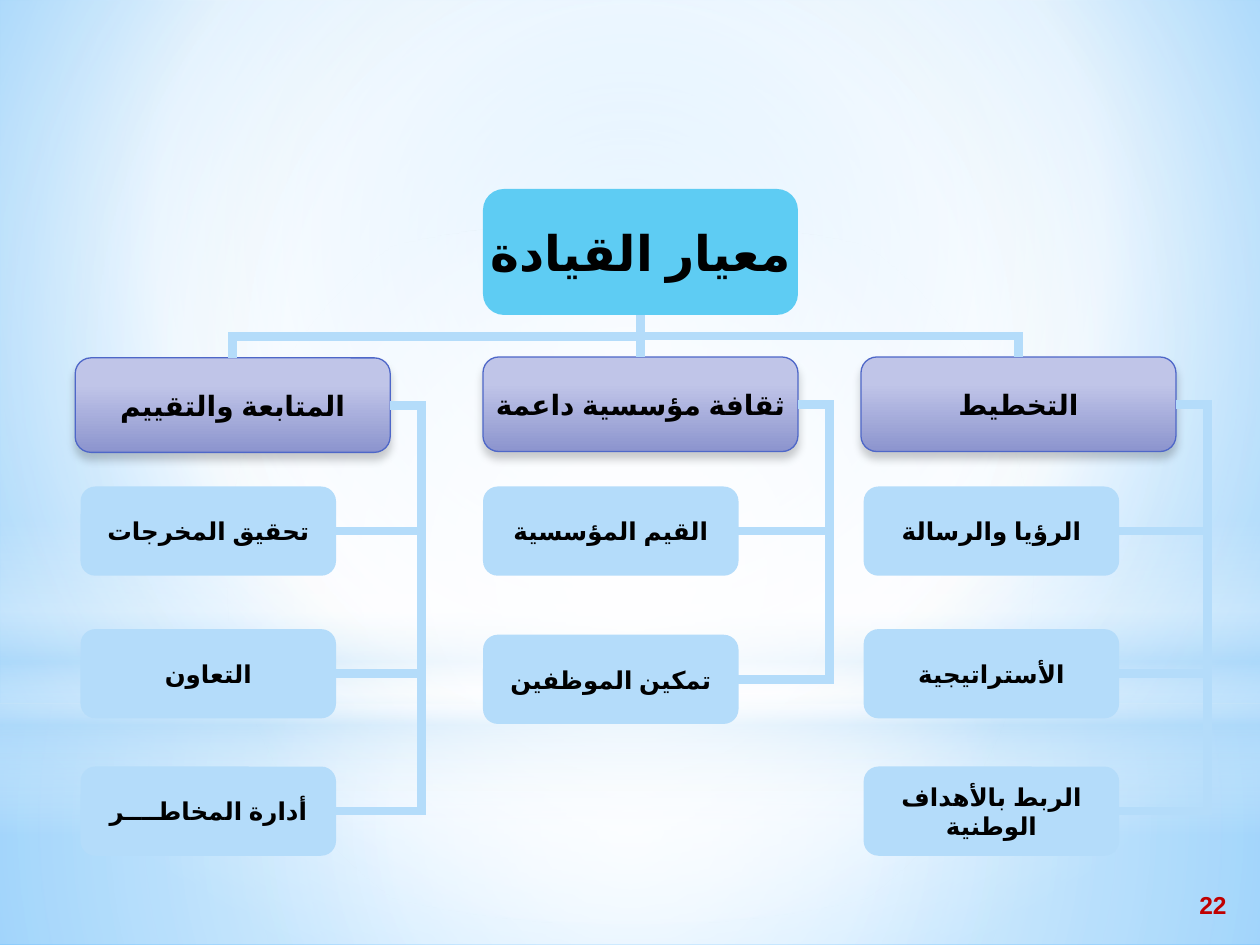
"""Build the leadership criterion chart slide."""
from lxml.etree import SubElement
from pptx import Presentation
from pptx.dml.color import RGBColor
from pptx.enum.lang import MSO_LANGUAGE_ID
from pptx.enum.shapes import MSO_CONNECTOR, MSO_SHAPE
from pptx.enum.text import MSO_ANCHOR, PP_ALIGN
from pptx.oxml import parse_xml
from pptx.oxml.ns import nsdecls, qn
from pptx.util import Pt

BLACK = RGBColor(0x00, 0x00, 0x00)
RED = RGBColor(0xC0, 0x00, 0x00)
SKY = RGBColor(0x5E, 0xCC, 0xF3)
PALE = RGBColor(0xB4, 0xDC, 0xFA)
BLUE = RGBColor(0x4E, 0x67, 0xC8)
FONT = "Arial"
CENTRE = (50, 50, 50, 50)

BACK = [(0, "9ED5FF", 100), (60, "FFFFFF", 100), (100, "5BB9FF", 100)]
HEAD = [(28, "C0C5E8", 100), (100, "8C94CE", 100)]
GLOWS = [
    (MSO_SHAPE.RECTANGLE, (0, 402, 720, 138), CENTRE,
     [(0, "FFFFFF", 91), (37, "FFFFFF", 76), (100, "B4DCFA", 79)]),
    (MSO_SHAPE.RECTANGLE, (0, 0, 720, 402), CENTRE,
     [(0, "FFFFFF", 89), (48, "FFFFFF", 62), (100, "B4DCFA", 79)]),
    (MSO_SHAPE.RECTANGLE, (0, 297, 720, 180), None,
     [(0, "FFFFFF", 0), (29, "FFFFFF", 30), (45, "B4DCFA", 40),
      (55, "FFFFFF", 26), (65, "B4DCFA", 60), (100, "FFFFFF", 0)]),
    (MSO_SHAPE.OVAL, (0, 126, 720, 402), CENTRE,
     [(0, "FFFFFF", 100), (56, "FFFFFF", 0)]),
]
ROOT = "معيار القيادة"
COLUMNS = [
    ("التخطيط", 492, 204, 493.5,
     [("الرؤيا والرسالة", 278), ("الأستراتيجية", 359.5),
      ("الربط بالأهداف الوطنية", 438)]),
    ("ثقافة مؤسسية داعمة", 276, 204, 276,
     [("القيم المؤسسية", 278), ("تمكين الموظفين", 362.7)]),
    ("المتابعة والتقييم", 43, 204.5, 46,
     [("تحقيق المخرجات", 278), ("التعاون", 359.5),
      ("أدارة المخاطــــر", 438)]),
]
WRAPPED = "الربط بالأهداف الوطنية"
ROOT_BOX = (276, 108, 180, 72)
HEAD_W, HEAD_H = 180, 54
LEAF_W, LEAF_H = 146, 51
REACH = 18

deck = Presentation()
deck.slide_width, deck.slide_height = Pt(720), Pt(540)
slide = deck.slides.add_slide(deck.slide_layouts[6])
shapes = slide.shapes


def blend(owner, stops, focus=None):
    """Swap the first solid fill under owner for a gradient."""
    marks = "".join(
        f'<a:gs pos="{pos * 1000}"><a:srgbClr val="{tint}">'
        f'<a:alpha val="{alpha * 1000}"/></a:srgbClr></a:gs>'
        for pos, tint, alpha in stops)
    shade = '<a:lin ang="5400000" scaled="0"/>'
    if focus:
        sides = " ".join(f'{side}="{part * 1000}"' for side, part in zip("ltrb", focus))
        shade = f'<a:path path="circle"><a:fillToRect {sides}/></a:path>'
    solid = next(owner.iter(qn("a:solidFill")))
    solid.getparent().replace(solid, parse_xml(
        f'<a:gradFill {nsdecls("a")} rotWithShape="1">'
        f'<a:gsLst>{marks}</a:gsLst>{shade}</a:gradFill>'))


def add_box(kind, box, fill):
    shape = shapes.add_shape(kind, *map(Pt, box))
    shape.shadow.inherit = False
    shape.fill.solid()
    shape.fill.fore_color.rgb = fill
    shape.line.fill.background()
    return shape


def write(shape, text, size, color=BLACK, align=PP_ALIGN.CENTER,
          anchor=MSO_ANCHOR.MIDDLE, wrap=False):
    frame = shape.text_frame
    frame.text = text
    frame.word_wrap = wrap
    frame.vertical_anchor = anchor
    para = frame.paragraphs[0]
    para.alignment = align
    para._p.get_or_add_pPr().set("rtl", "1")
    font = para.runs[0].font
    font.name, font.size, font.bold = FONT, Pt(size), True
    font.language_id = MSO_LANGUAGE_ID.ARABIC
    font.color.rgb = color
    SubElement(font._element, qn("a:cs")).set("typeface", FONT)


def add_node(box, text, size, fill, wrap=False):
    node = add_box(MSO_SHAPE.ROUNDED_RECTANGLE, box, fill)
    write(node, text, size, wrap=wrap)
    return node


def add_head(box, text):
    head = add_node(box, text, 16, PALE)
    blend(head._element.spPr, HEAD)
    head.line.color.rgb = BLUE
    head.line.width = Pt(0.75)
    cast = head._element.spPr.find(qn("a:effectLst"))
    cast.append(parse_xml(
        f'<a:outerShdw {nsdecls("a")} blurRad="{Pt(5)}" dist="{Pt(4)}" '
        'dir="5400000" rotWithShape="0"><a:srgbClr val="000000">'
        '<a:alpha val="20000"/></a:srgbClr></a:outerShdw>'))
    return head


def add_link(kind, *ends):
    link = shapes.add_connector(kind, *map(Pt, ends))
    link.line.color.rgb = PALE
    link.line.width = Pt(5)
    edge = link._element.spPr.find(qn("a:ln"))
    SubElement(edge, qn("a:miter")).set("lim", "800000")
    SubElement(link._element.spPr, qn("a:effectLst"))
    return link


def add_side(x, y, end_x, end_y):
    link = add_link(MSO_CONNECTOR.ELBOW, x, y, end_x, end_y)
    geom = link._element.spPr.find(qn("a:prstGeom"))
    guides = geom.get_or_add_avLst()
    bend = SubElement(guides, qn("a:gd"))
    bend.set("name", "adj1")
    bend.set("fmla", f"val {round(-REACH / (x - end_x) * 100000)}")


def add_drop(x, y, end_x, end_y):
    mid_x, mid_y = (x + end_x) / 2, (y + end_y) / 2
    wide, tall = end_y - y, abs(end_x - x)
    turn = 1 if end_x > x else -1
    link = add_link(MSO_CONNECTOR.ELBOW,
                    mid_x + turn * wide / 2, mid_y - tall / 2,
                    mid_x - turn * wide / 2, mid_y + tall / 2)
    angle = 270 if turn > 0 else 90
    link._element.spPr.find(qn("a:xfrm")).set("rot", str(angle * 60000))


slide.background.fill.solid()
blend(slide.element, BACK, (20, 10, 20, 60))
for kind, box, focus, stops in GLOWS:
    blend(add_box(kind, box, PALE)._element.spPr, stops, focus)

root = add_node(ROOT_BOX, ROOT, 28, SKY)
left, top, width, height = ROOT_BOX
root_x, root_y = left + width / 2, top + height
for title, x, y, leaf_x, leaves in COLUMNS:
    head = add_head((x, y, HEAD_W, HEAD_H), title)
    head_x = x + HEAD_W / 2
    if head_x == root_x:
        stem = add_link(MSO_CONNECTOR.STRAIGHT, root_x, root_y, head_x, y)
        stem.begin_connect(root, 2)
        stem.end_connect(head, 0)
    else:
        add_drop(root_x, root_y, head_x, y)
    for text, leaf_y in leaves:
        add_node((leaf_x, leaf_y, LEAF_W, LEAF_H), text, 14, PALE, text == WRAPPED)
        add_side(x + HEAD_W, y + HEAD_H / 2, leaf_x + LEAF_W, leaf_y + LEAF_H / 2)

number = shapes.add_textbox(Pt(648), Pt(504), Pt(60), Pt(25))
write(number, "22", 14, RED, PP_ALIGN.RIGHT, MSO_ANCHOR.BOTTOM, True)
deck.save("out.pptx")
